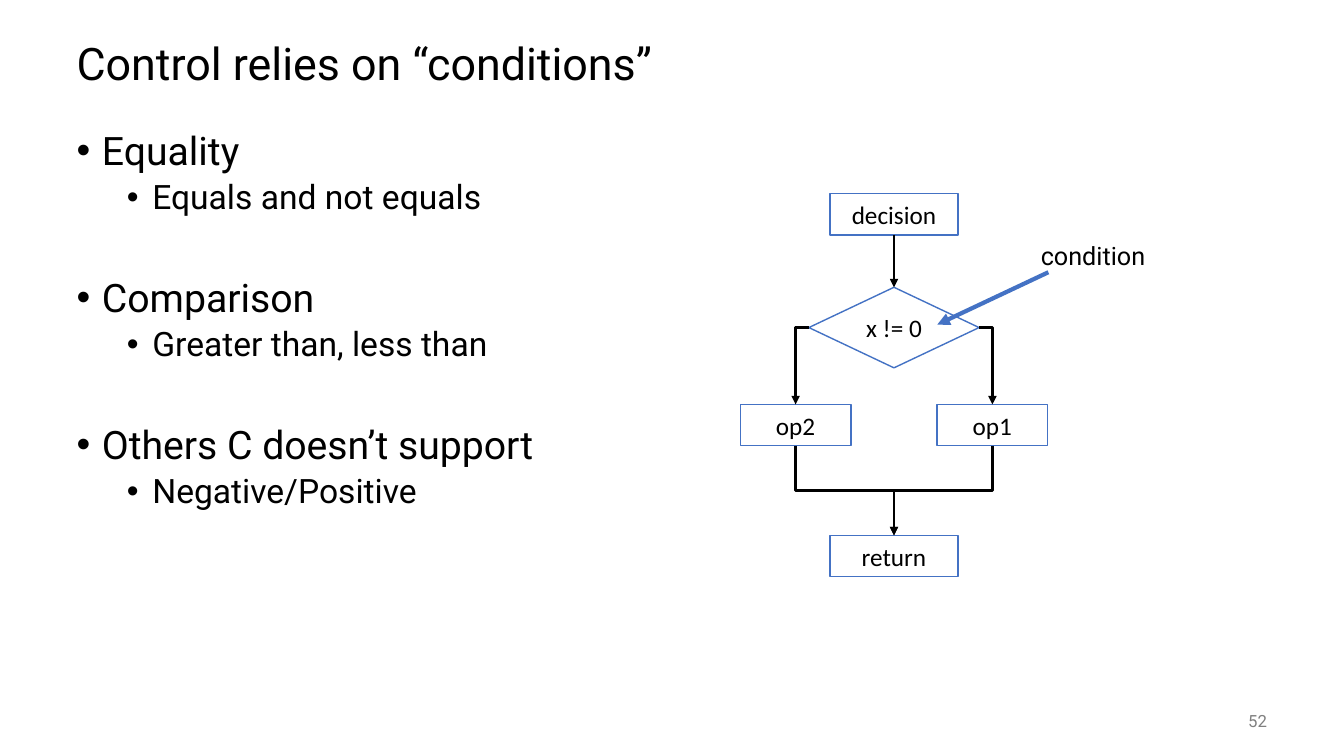
from dataclasses import dataclass

from lxml.etree import SubElement
from pptx import Presentation
from pptx.dml.color import RGBColor
from pptx.enum.shapes import MSO_CONNECTOR, MSO_SHAPE
from pptx.enum.text import MSO_ANCHOR, PP_ALIGN
from pptx.oxml.ns import qn
from pptx.util import Cm, Pt


@dataclass(frozen=True)
class Theme:
    black: RGBColor = RGBColor(0x00, 0x00, 0x00)
    white: RGBColor = RGBColor(0xFF, 0xFF, 0xFF)
    grey: RGBColor = RGBColor(0x80, 0x80, 0x80)
    blue: RGBColor = RGBColor(0x44, 0x72, 0xC4)
    text_font: str = "Roboto"
    chart_font: str = "Calibri"
    title_size: int = 32
    topic_size: int = 28
    detail_size: int = 24
    label_size: int = 18
    number_size: int = 12


THEME = Theme()

TOPICS = [
    ("Equality", "Equals and not equals"),
    ("Comparison", "Greater than, less than"),
    ("Others C doesn’t support", "Negative/Positive"),
]

# Flowchart grid in centimetres
FLOW_CENTER = 22.53
BRANCH_OFFSET = 2.48
BOX_HEIGHT = 1.04
END_WIDTH = 3.23
OPERATION_WIDTH = 2.79


def format_runs(paragraph, size, color=THEME.black, font=THEME.text_font):
    for run in paragraph.runs:
        run.font.size = Pt(size)
        run.font.name = font
        run.font.color.rgb = color


def add_text(slide, left, top, width, height, text, size,
             color=THEME.black, align=PP_ALIGN.LEFT, anchor=MSO_ANCHOR.MIDDLE):
    box = slide.shapes.add_textbox(Cm(left), Cm(top), Cm(width), Cm(height))
    frame = box.text_frame
    frame.word_wrap = True
    frame.vertical_anchor = anchor
    frame.text = text
    paragraph = frame.paragraphs[0]
    paragraph.alignment = align
    format_runs(paragraph, size, color)
    return box


def format_bullet(paragraph, level, space_before):
    properties = paragraph._p.get_or_add_pPr()
    properties.set("marL", str(Cm(0.64 + 1.27 * level)))
    properties.set("indent", str(-Cm(0.64)))
    SubElement(properties, qn("a:buFont")).set("typeface", "Arial")
    SubElement(properties, qn("a:buChar")).set("char", "•")
    paragraph.level = level
    paragraph.line_spacing = 0.9
    paragraph.space_before = Pt(space_before)
    format_runs(paragraph, THEME.detail_size if level else THEME.topic_size)


def add_topics(slide):
    box = slide.shapes.add_textbox(Cm(1.68), Cm(3.18), Cm(13.46), Cm(13.97))
    frame = box.text_frame
    frame.word_wrap = True
    frame.text = "\n".join(line for topic in TOPICS for line in topic)
    for index, paragraph in enumerate(frame.paragraphs):
        level = index % 2
        topic_gap = 44 if index else 0
        format_bullet(paragraph, level, 5 if level else topic_gap)


def add_step(slide, text, center, top, width, height=BOX_HEIGHT,
             kind=MSO_SHAPE.FLOWCHART_PROCESS):
    shape = slide.shapes.add_shape(
        kind, Cm(center - width / 2), Cm(top), Cm(width), Cm(height))
    shape.shadow.inherit = False
    shape.fill.solid()
    shape.fill.fore_color.rgb = THEME.white
    shape.line.color.rgb = THEME.blue
    shape.line.width = Pt(1)
    frame = shape.text_frame
    frame.vertical_anchor = MSO_ANCHOR.MIDDLE
    frame.text = text
    frame.paragraphs[0].alignment = PP_ALIGN.CENTER
    format_runs(frame.paragraphs[0], THEME.label_size, font=THEME.chart_font)
    return shape


def add_arrow(slide, kind=MSO_CONNECTOR.STRAIGHT, start=(0, 0), end=(0, 0),
              color=THEME.black, width=2):
    points = [Cm(value) for value in (*start, *end)]
    arrow = slide.shapes.add_connector(kind, *points)
    arrow.line.color.rgb = color
    arrow.line.width = Pt(width)
    SubElement(arrow.line._get_or_add_ln(), qn("a:tailEnd")).set("type", "triangle")
    SubElement(arrow._element.spPr, qn("a:effectLst"))
    return arrow


def join_steps(slide, source, source_side, target, kind=MSO_CONNECTOR.STRAIGHT):
    arrow = add_arrow(slide, kind)
    arrow.begin_connect(source, source_side)
    arrow.end_connect(target, 0)
    return arrow


def add_branch(slide, decision, side, operation):
    """One bend: sideways out of the decision, then down."""
    arrow = join_steps(slide, decision, side, operation, MSO_CONNECTOR.ELBOW)
    arrow._element.spPr.find(qn("a:prstGeom")).set("prst", "bentConnector2")


def add_merge(slide, operation, target):
    """Two bends: down, across and down again, as a turned elbow."""
    arrow = join_steps(slide, operation, 2, target, MSO_CONNECTOR.ELBOW)
    goes_right = arrow.end_x > arrow.begin_x
    center_x = (arrow.begin_x + arrow.end_x) // 2
    center_y = (arrow.begin_y + arrow.end_y) // 2
    arrow.width, arrow.height = arrow.height, arrow.width
    arrow.left = center_x - arrow.width // 2
    arrow.top = center_y - arrow.height // 2
    transform = arrow._element.spPr.find(qn("a:xfrm"))
    transform.set("rot", str((270 if goes_right else 90) * 60000))
    transform.set("flipH", "1" if goes_right else "0")


def add_flowchart(slide):
    # Steps
    start = add_step(slide, "decision", FLOW_CENTER, 4.88, END_WIDTH)
    test = add_step(slide, "x != 0", FLOW_CENTER, 7.24, 4.29, 2.03,
                    MSO_SHAPE.FLOWCHART_DECISION)
    finish = add_step(slide, "return", FLOW_CENTER, 13.49, END_WIDTH)
    join_steps(slide, start, 2, test)

    # Left and right branches
    for text, direction, side in (("op2", -1, 1), ("op1", 1, 3)):
        center = FLOW_CENTER + direction * BRANCH_OFFSET
        operation = add_step(slide, text, center, 10.19, OPERATION_WIDTH)
        add_branch(slide, test, side, operation)
        add_merge(slide, operation, finish)

    # Callout
    add_text(slide, 25.98, 5.92, 4.29, 1.02, "condition", THEME.label_size,
             anchor=MSO_ANCHOR.TOP)
    add_arrow(slide, start=(26.42, 6.86), end=(23.62, 8.18),
              color=THEME.blue, width=3)


def main():
    presentation = Presentation()
    presentation.slide_width = Cm(33.87)
    presentation.slide_height = Cm(19.05)
    slide = presentation.slides.add_slide(presentation.slide_layouts[6])

    add_text(slide, 1.68, 0.64, 30.48, 1.9, "Control relies on “conditions”",
             THEME.title_size)
    add_topics(slide)
    add_flowchart(slide)
    add_text(slide, 29.64, 17.65, 2.54, 1.02, "52", THEME.number_size,
             THEME.grey, PP_ALIGN.RIGHT)
    presentation.save("out.pptx")


if __name__ == "__main__":
    main()
